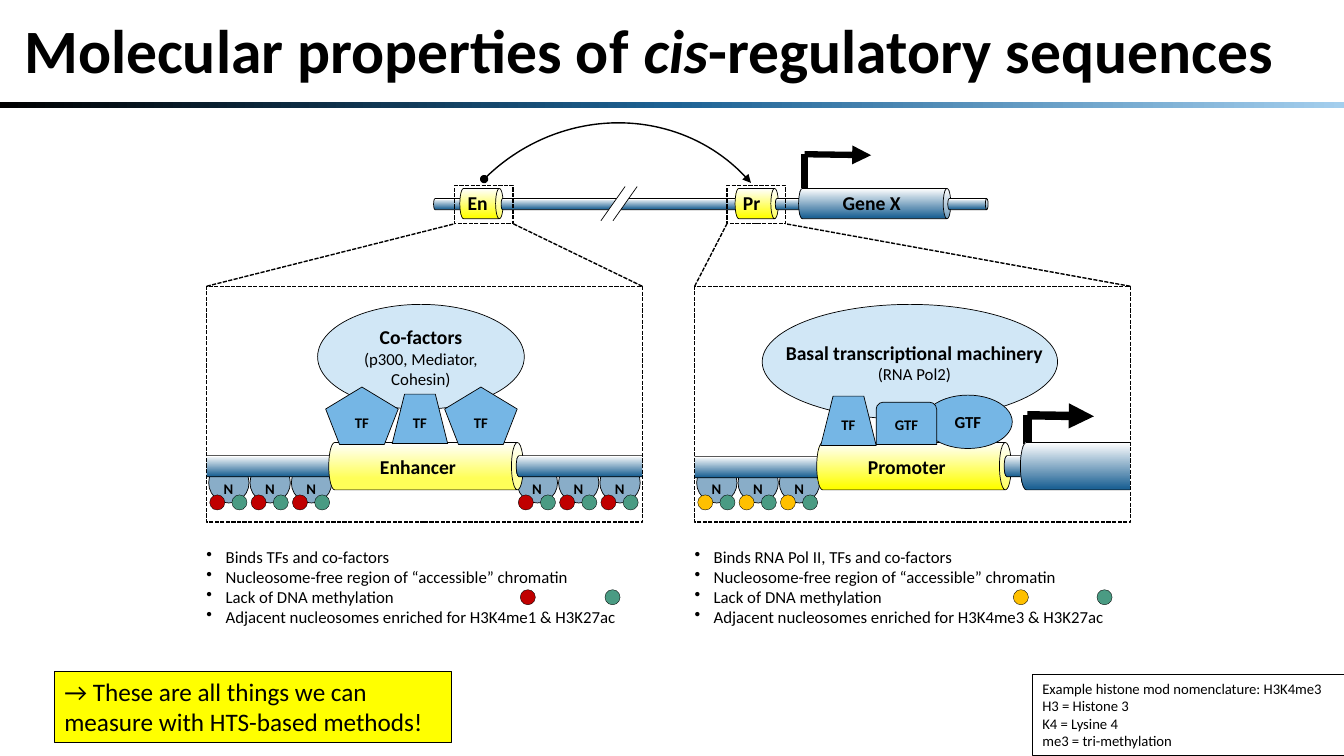
import collections
import copy

import lxml.etree
import pptx
import pptx.dml.color
import pptx.enum.dml
import pptx.enum.shapes
import pptx.enum.text
import pptx.oxml.ns
import pptx.util

Inches = pptx.util.Inches
Pt = pptx.util.Pt
RGB = pptx.dml.color.RGBColor
SHAPE = pptx.enum.shapes.MSO_SHAPE
ALIGN = pptx.enum.text.PP_ALIGN
ANCHOR = pptx.enum.text.MSO_ANCHOR
Box = collections.namedtuple("Box", "left top width height")

BLACK = RGB(0x00, 0x00, 0x00)
WHITE = RGB(0xFF, 0xFF, 0xFF)
DNA_BLUE = RGB(0x1D, 0x62, 0x94)
SKY = RGB(0xA3, 0xCE, 0xED)
PALE_BLUE = RGB(0xD1, 0xE7, 0xF6)
FACTOR_BLUE = RGB(0x75, 0xB6, 0xE5)
NUCLEOSOME_BLUE = RGB(0x89, 0xAD, 0xC8)
YELLOW = RGB(0xFF, 0xFF, 0x00)
SOFT_YELLOW = RGB(0xFF, 0xFF, 0x58)
RED = RGB(0xC0, 0x00, 0x00)
AMBER = RGB(0xFF, 0xC0, 0x00)
GREEN = RGB(0x4A, 0x9B, 0x83)


def within(box, left, top, width, height):
    """Return a box placed relative to the corner of another."""
    return Box(box.left + left, box.top + top, width, height)


def write(shape, paragraphs, align=ALIGN.LEFT, bullet=False, spacing=None, **frame_format):
    """Fill a shape with paragraphs, each a list of (text, size, bold, italic) runs."""
    frame = shape.text_frame
    frame.word_wrap = True
    for name, value in frame_format.items():
        setattr(frame, name, value)
    for index, runs in enumerate(paragraphs):
        para = frame.add_paragraph() if index else frame.paragraphs[0]
        para.alignment = align
        if spacing:
            para.line_spacing = spacing
        if bullet:
            settings = para._p.get_or_add_pPr()
            settings.set("marL", str(Inches(0.19)))
            settings.set("indent", str(-Inches(0.19)))
            lxml.etree.SubElement(settings, pptx.oxml.ns.qn("a:buChar")).set("char", "•")
        for text, size, bold, italic in runs:
            span = para.add_run()
            span.text = text
            font_format = {"name": "Calibri", "size": Pt(size), "bold": bold, "italic": italic}
            for name, value in font_format.items():
                setattr(span.font, name, value)
            span.font.color.rgb = BLACK


def plain(text, size, bold=False):
    """Return a paragraph of one run."""
    return [(text, size, bold, False)]


def text_box(page, box, paragraphs, **options):
    """Add a text box."""
    shape = page.shapes.add_textbox(*map(Inches, box))
    write(shape, paragraphs, **options)
    return shape


def outline(shape, width, dashed=False):
    """Give a shape or connector a black line."""
    shape.line.color.rgb = BLACK
    shape.line.width = Pt(width)
    if dashed:
        shape.line.dash_style = pptx.enum.dml.MSO_LINE.SQUARE_DOT


def add_end(shape, end, kind):
    """Put an arrowhead on one end of a line."""
    line = shape.element.spPr.find(pptx.oxml.ns.qn("a:ln"))
    lxml.etree.SubElement(line, pptx.oxml.ns.qn("a:" + end)).set("type", kind)


def draw(page, kind, box, fill=None, line=0.5, dashed=False, rotation=0):
    """Add a preset shape with an optional fill and line."""
    shape = page.shapes.add_shape(kind, *map(Inches, box))
    shape.shadow.inherit = False
    shape.rotation = rotation
    if fill is None:
        shape.fill.background()
    else:
        shape.fill.solid()
        shape.fill.fore_color.rgb = fill
    if line:
        outline(shape, line, dashed)
    else:
        shape.line.fill.background()
    return shape


def shade(shape, stops, angle):
    """Fill a shape with a linear gradient of (position, colour) stops."""
    shape.fill.gradient()
    shape.fill.gradient_angle = angle
    stop_list = shape.element.spPr.find(".//" + pptx.oxml.ns.qn("a:gsLst"))
    for _ in stops[2:]:
        stop_list.append(copy.deepcopy(stop_list[0]))
    for stop, (position, color) in zip(shape.fill.gradient_stops, stops):
        stop.color.rgb = color
        stop.position = position


def can(page, box, color=DNA_BLUE, start=0.04):
    """Add a cylinder lying on its side across the box."""
    left = box.left + (box.width - box.height) / 2
    top = box.top + (box.height - box.width) / 2
    shape = draw(page, SHAPE.CAN, Box(left, top, box.height, box.width), rotation=90)
    shade(shape, [(start, color), (1, WHITE)], 180)


def connect(page, begin, end, width, dashed=False, arrow=False):
    """Add a straight line between two points."""
    line = page.shapes.add_connector(pptx.enum.shapes.MSO_CONNECTOR.STRAIGHT,
                                     *map(Inches, begin + end))
    outline(line, width, dashed)
    if arrow:
        add_end(line, "tailEnd", "triangle")
    lxml.etree.SubElement(line.element.spPr, pptx.oxml.ns.qn("a:effectLst"))


def start_arrow(page, left, top, height, width):
    """Add the bent arrow of a transcription start."""
    connect(page, (left, top), (left, top + height), width)
    connect(page, (left, top), (left + 0.66, top + 0.01), width, arrow=True)


def dot(page, left, top, color):
    """Add a histone mark."""
    draw(page, SHAPE.OVAL, Box(left, top, 0.15, 0.15), color, 0.25)


def heading(page, box):
    """Add the title and the gradient bar below it."""
    runs = [("Molecular properties of ", 44, True, False), ("cis", 44, True, True),
            ("-regulatory sequences", 44, True, False)]
    text_box(page, box, [runs], spacing=0.9, margin_left=Inches(0.24),
             vertical_anchor=ANCHOR.MIDDLE)
    bar = draw(page, SHAPE.RECTANGLE, within(box, 0, 1.01, box.width, 0.06), line=0)
    shade(bar, [(0, BLACK), (0.5, DNA_BLUE), (1, SKY)], 0)


def locus(page, box):
    """Draw the DNA strand with the enhancer, promoter and gene."""
    start_arrow(page, box.left + 3.68, box.top + 0.27, 0.34, 4.5)
    parts = [(0, 0.35, None, None), (0.26, 0.43, "En", 0.24), (0.67, 2.6, None, None),
             (2.99, 0.43, "Pr", 2.97), (3.39, 0.82, None, None),
             (3.62, 1.51, "Gene X", 3.96), (5.1, 0.4, None, None)]
    for left, width, name, label_left in parts:
        if name:
            color = DNA_BLUE if name == "Gene X" else YELLOW
            can(page, within(box, left, 0.61, width, 0.3), color)
            text_box(page, within(box, label_left, 0.58, width + 0.02 if width < 1 else 0.88, 0.34),
                     [plain(name, 14, True)])
        else:
            can(page, within(box, left, 0.71, width, 0.11))
    draw(page, SHAPE.RECTANGLE, within(box, 1.79, 0.51, 0.1, 0.5), WHITE, 0, rotation=35)
    for left in (1.66, 1.78):
        connect(page, (box.left + left, box.top + 0.93),
                (box.left + left + 0.24, box.top + 0.59), 0.5)
    loop = draw(page, SHAPE.ARC, within(box, -0.1, 0, 3.7, 3.53), line=1, rotation=316)
    loop.adjustments[0], loop.adjustments[1] = 161.406, 1.876
    add_end(loop, "headEnd", "oval")
    add_end(loop, "tailEnd", "triangle")


def factor(page, box, kind, name, size=10.5):
    """Add a labelled transcription factor."""
    shape = draw(page, kind, box, FACTOR_BLUE)
    write(shape, [plain(name, size, True)], ALIGN.CENTER, vertical_anchor=ANCHOR.MIDDLE)


def panel(page, box, site, name, complex_box, color, start, factors, nucleosomes,
          strands, mark, legend, points):
    """Draw one enlarged regulatory element with its list of properties."""
    for left in nucleosomes:
        draw(page, SHAPE.OVAL, within(box, left, 1.75, 0.4, 0.4), NUCLEOSOME_BLUE)
        text_box(page, within(box, left + 0.05, 1.87, 0.31, 0.28), [plain("N", 10.5, True)])
    can(page, within(box, *strands[0]))
    protein = draw(page, SHAPE.OVAL, within(box, *complex_box), PALE_BLUE)
    if name == "Enhancer":
        write(protein, [[("Co-factors ", 14, True, False),
                         ("(p300, Mediator, Cohesin)", 12, False, False)]],
              ALIGN.CENTER, vertical_anchor=ANCHOR.MIDDLE)
    else:
        text_box(page, within(box, 0.78, 0.49, 2.8, 0.54),
                 [plain("Basal transcriptional machinery", 14, True), plain("(RNA Pol2)", 12)],
                 align=ALIGN.CENTER)
    can(page, within(box, 1.21, 1.55, 1.93, 0.47), color, start)
    text_box(page, within(box, 1.62, 1.62, 1.15, 0.34), [plain(name, 14, True)])
    can(page, within(box, *strands[1]))
    if name == "Promoter":
        start_arrow(page, box.left + 3.3, box.top + 1.28, 0.33, 6)
        can(page, within(box, 3.23, 1.55, 1.46, 0.47))
    for left in (-0.49, box.width):
        draw(page, SHAPE.RECTANGLE, within(box, left, 1.4, 0.49, 0.7), WHITE, 0)
    for left, top, width, height, *details in factors:
        factor(page, within(box, left, top, width, height), *details)
    for side in (0, 1):
        connect(page, (box.left + side * box.width, box.top),
                (site.left + side * site.width, site.top + site.height), 1, dashed=True)
    for frame in (site, box):
        draw(page, SHAPE.RECTANGLE, frame, line=1, dashed=True)
    for left in nucleosomes:
        dot(page, box.left + left + 0.01, box.top + 2.07, mark)
        dot(page, box.left + left + 0.23, box.top + 2.07, GREEN)
    text_box(page, within(box, -0.1, 2.53, 4.7, 0.91),
             [plain(point, 12) for point in points], bullet=True)
    for left, dot_color in zip(legend, (mark, GREEN)):
        dot(page, box.left + left, box.top + 3.01, dot_color)


def note(page, box, lines, size, fill=None):
    """Add a framed note."""
    shape = text_box(page, box, [plain(line, size) for line in lines])
    outline(shape, 0.75)
    if fill:
        shape.fill.solid()
        shape.fill.fore_color.rgb = fill


def main():
    """Build the deck."""
    deck = pptx.Presentation()
    deck.slide_width, deck.slide_height = Inches(13.33), Inches(7.5)
    page = deck.slides.add_slide(deck.slide_layouts[6])
    heading(page, Box(0, 0, 13.33, 1.07))
    locus(page, Box(4.3, 1.26, 5.5, 0.95))
    shared = ["Nucleosome-free region of “accessible” chromatin", "Lack of DNA methylation"]
    triplet = [0.02 + 0.41 * index for index in range(3)]
    panel(page, Box(2.05, 2.84, 4.32, 2.34), Box(4.51, 1.84, 0.58, 0.38), "Enhancer",
          (1.1, 0.18, 2.05, 1.04), SOFT_YELLOW, 0.25,
          [(1.18, 1, 0.72, 0.57, SHAPE.REGULAR_PENTAGON, "TF"),
           (1.84, 1.07, 0.55, 0.49, SHAPE.TRAPEZOID, "TF"),
           (2.36, 1, 0.72, 0.57, SHAPE.REGULAR_PENTAGON, "TF")],
          triplet + [left + 3.06 for left in triplet],
          [(-0.09, 1.68, 1.51, 0.21), (3.07, 1.68, 1.36, 0.21)], RED, (3.11, 3.95),
          ["Binds TFs and co-factors", *shared,
           "Adjacent nucleosomes enriched for H3K4me1 & H3K27ac"])
    panel(page, Box(6.89, 2.84, 4.32, 2.34), Box(7.21, 1.84, 0.58, 0.38), "Promoter",
          (0.67, 0.18, 2.93, 1.14), YELLOW, 0.04,
          [(2.27, 1.08, 0.88, 0.53, SHAPE.OVAL, "GTF", 12),
           (1.8, 1.15, 0.6, 0.42, SHAPE.ROUND_2_SAME_RECTANGLE, "GTF"),
           (1.25, 1.09, 0.55, 0.49, SHAPE.TRAPEZOID, "TF")],
          triplet, [(-0.24, 1.69, 1.93, 0.21), (3.07, 1.68, 1.09, 0.21)], AMBER, (3.16, 3.99),
          ["Binds RNA Pol II, TFs and co-factors", *shared,
           "Adjacent nucleosomes enriched for H3K4me3 & H3K27ac"])
    note(page, Box(10.24, 6.69, 3.1, 0.81),
         ["Example histone mod nomenclature: H3K4me3", "H3 = Histone 3", "K4 = Lysine 4",
          "me3 = tri-methylation"], 10.5)
    note(page, Box(0.54, 6.66, 3.94, 0.71),
         ["→ These are all things we can measure with HTS-based methods!"], 18, YELLOW)
    deck.save("out.pptx")


if __name__ == "__main__":
    main()
